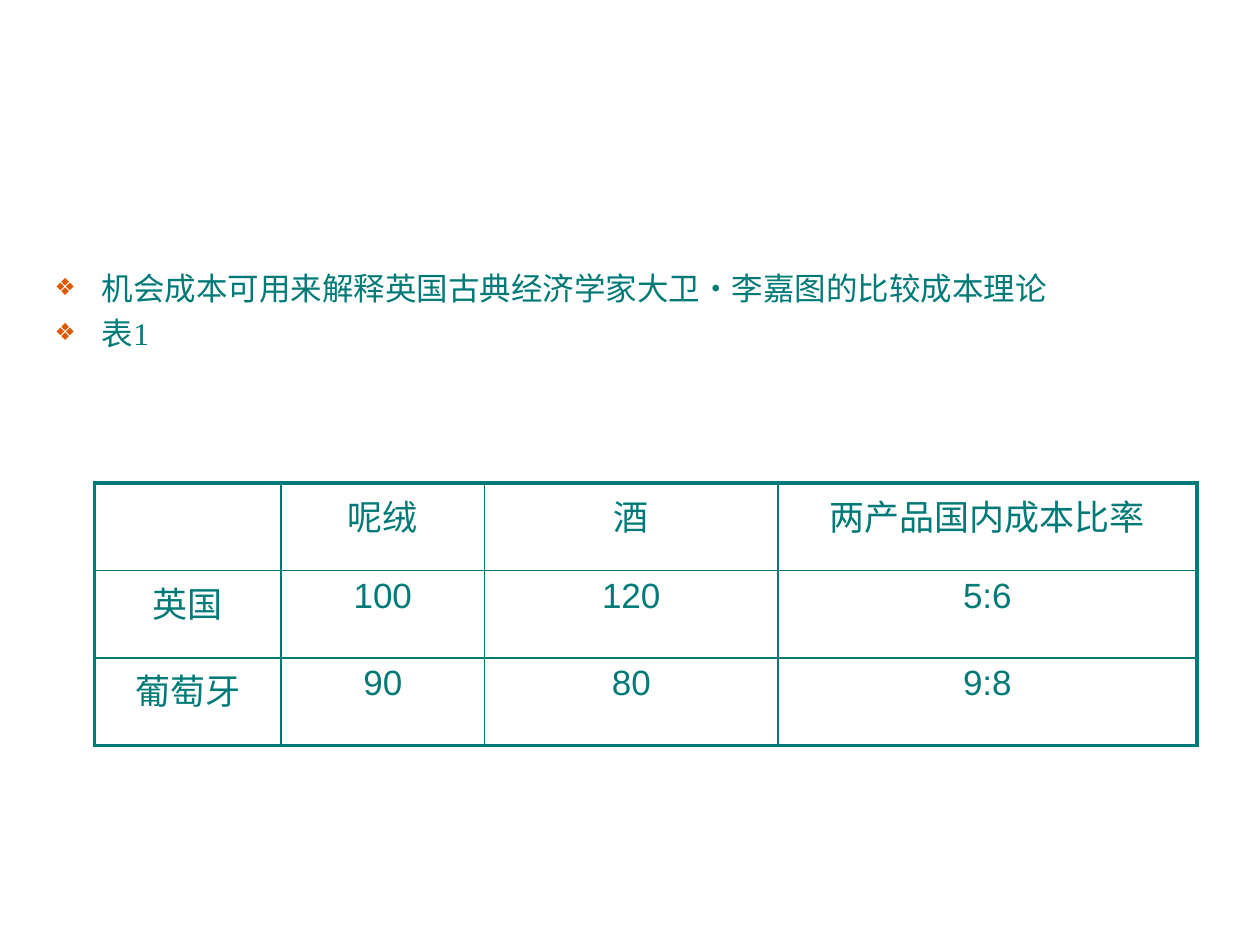
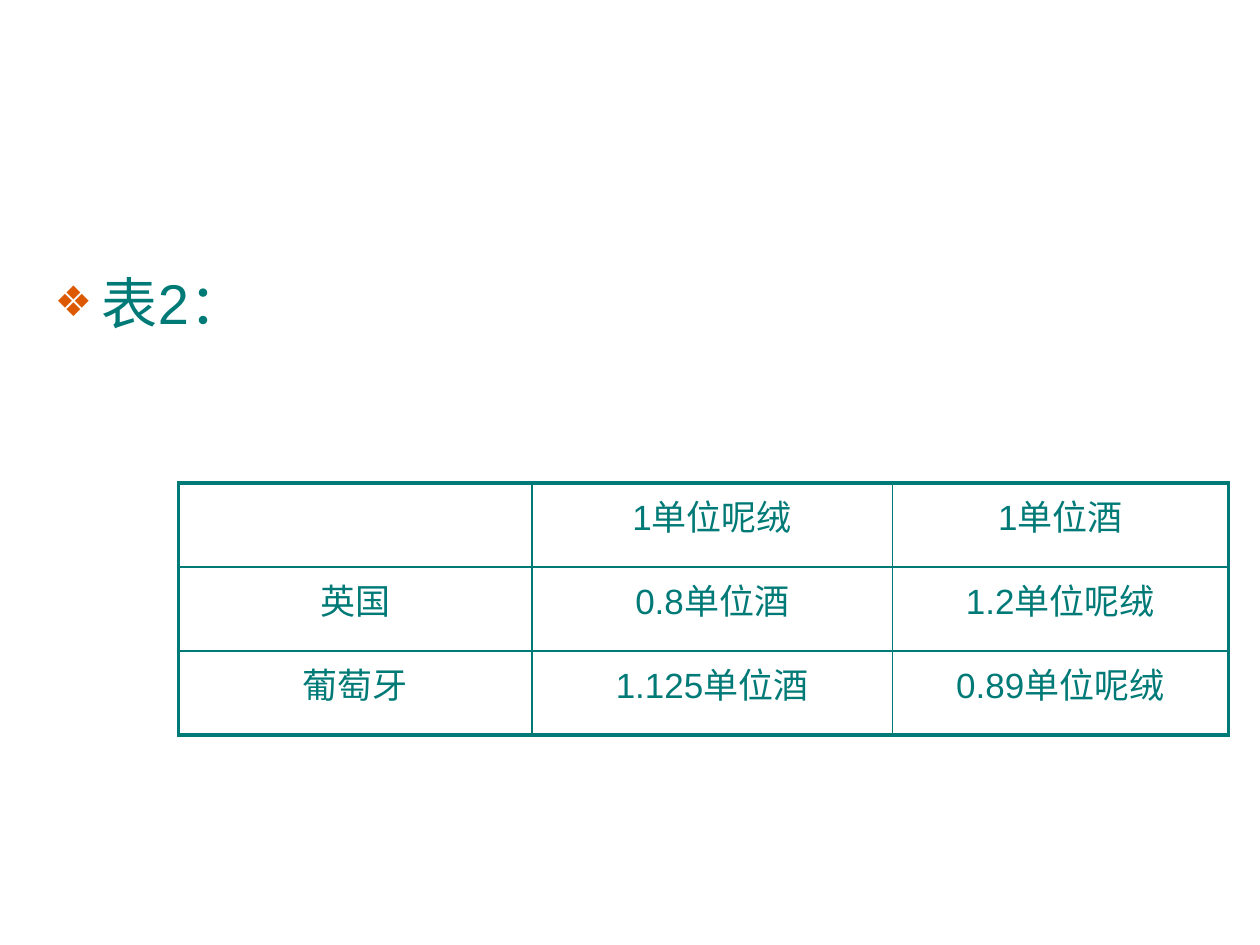
"""Build two slides of comparative cost tables."""
from lxml import etree
from pptx import Presentation
from pptx import util as u
from pptx.dml.color import RGBColor
from pptx.enum import lang, text
from pptx.oxml.ns import qn

COLORS = {"ink": "007A77", "bullet": "DC5900", "paper": "FFFFFF"}
THIN, THICK = 1, 2.25

SLIDES = [
    {
        "size": 18,
        "bullets": [
            [("机会成本可用来解释英国古典经济学家大卫", "Times New Roman"),
             ("•", "Arial"),
             ("李嘉图的比较成本理论", "Times New Roman")],
            [("表1", "Times New Roman")],
        ],
        "left": 54,
        "widths": [106.5, 116.5, 167.5, 239.5],
        "row_height": 50,
        "rows": [
            ["", "呢绒", "酒", "两产品国内成本比率"],
            ["英国", "100", "120", "5:6"],
            ["葡萄牙", "90", "80", "9:8"],
        ],
    },
    {
        "size": 32,
        "bullets": [[("表2：", "Arial")]],
        "left": 102,
        "widths": [202, 206, 192],
        "row_height": 48,
        "rows": [
            ["", "1单位呢绒", "1单位酒"],
            ["英国", "0.8单位酒", "1.2单位呢绒"],
            ["葡萄牙", "1.125单位酒", "0.89单位呢绒"],
        ],
    },
]


def format_run(r, size, font):
    r.font.size = u.Pt(size)
    r.font.name = font
    r.font.language_id = lang.MSO_LANGUAGE_ID.SIMPLIFIED_CHINESE
    r.font.color.rgb = RGBColor.from_string(COLORS["ink"])


def add_color(parent, color):
    etree.SubElement(parent, qn("a:srgbClr"), val=COLORS[color])


prs = Presentation()
prs.slide_width, prs.slide_height = u.Pt(720), u.Pt(540)

for page in SLIDES:
    s = prs.slides.add_slide(prs.slide_layouts[1])
    s.background.fill.solid()
    s.background.fill.fore_color.rgb = RGBColor.from_string(COLORS["paper"])
    title = s.shapes.title.element
    title.getparent().remove(title)

    body = s.placeholders[1]
    body.left, body.top = u.Pt(24), u.Pt(150)
    body.width, body.height = u.Pt(672), u.Pt(330)
    tf = body.text_frame
    tf.word_wrap = True
    tf.auto_size = text.MSO_AUTO_SIZE.NONE
    for i, parts in enumerate(page["bullets"]):
        p = tf.add_paragraph() if i else tf.paragraphs[0]
        pPr = p._p.get_or_add_pPr()
        pPr.set("marL", str(u.Pt(27)))
        pPr.set("indent", str(u.Pt(-27)))
        add_color(etree.SubElement(pPr, qn("a:buClr")), "bullet")
        etree.SubElement(pPr, qn("a:buSzPct"), val="75000")
        etree.SubElement(pPr, qn("a:buFont"), typeface="Arial")
        etree.SubElement(pPr, qn("a:buChar"), char="❖")
        p.space_before = u.Pt(4 if i else 0)
        for words, font in parts:
            r = p.add_run()
            r.text = words
            format_run(r, page["size"], font)

    rows, widths = page["rows"], page["widths"]
    frame = s.shapes.add_table(
        len(rows), len(widths), u.Pt(page["left"]), u.Pt(276),
        u.Pt(sum(widths)), u.Pt(page["row_height"] * len(rows)))
    table = frame.table
    table.first_row = table.horz_banding = False
    for column, width in zip(table.columns, widths):
        column.width = u.Pt(width)
    for i, values in enumerate(rows):
        table.rows[i].height = u.Pt(page["row_height"])
        for j, value in enumerate(values):
            cell = table.cell(i, j)
            tcPr = cell._tc.get_or_add_tcPr()
            outer = {"L": j == 0, "R": j == len(widths) - 1,
                     "T": i == 0, "B": i == len(rows) - 1}
            for side, is_outer in outer.items():
                weight = u.Pt(THICK if is_outer else THIN)
                ln = etree.SubElement(tcPr, qn("a:ln" + side), w=str(weight))
                add_color(etree.SubElement(ln, qn("a:solidFill")), "ink")
            cell.fill.background()
            if value:
                p = cell.text_frame.paragraphs[0]
                p.text = value
                p.alignment = text.PP_ALIGN.CENTER
                format_run(p.runs[0], 20, "Arial")

prs.save("out.pptx")
